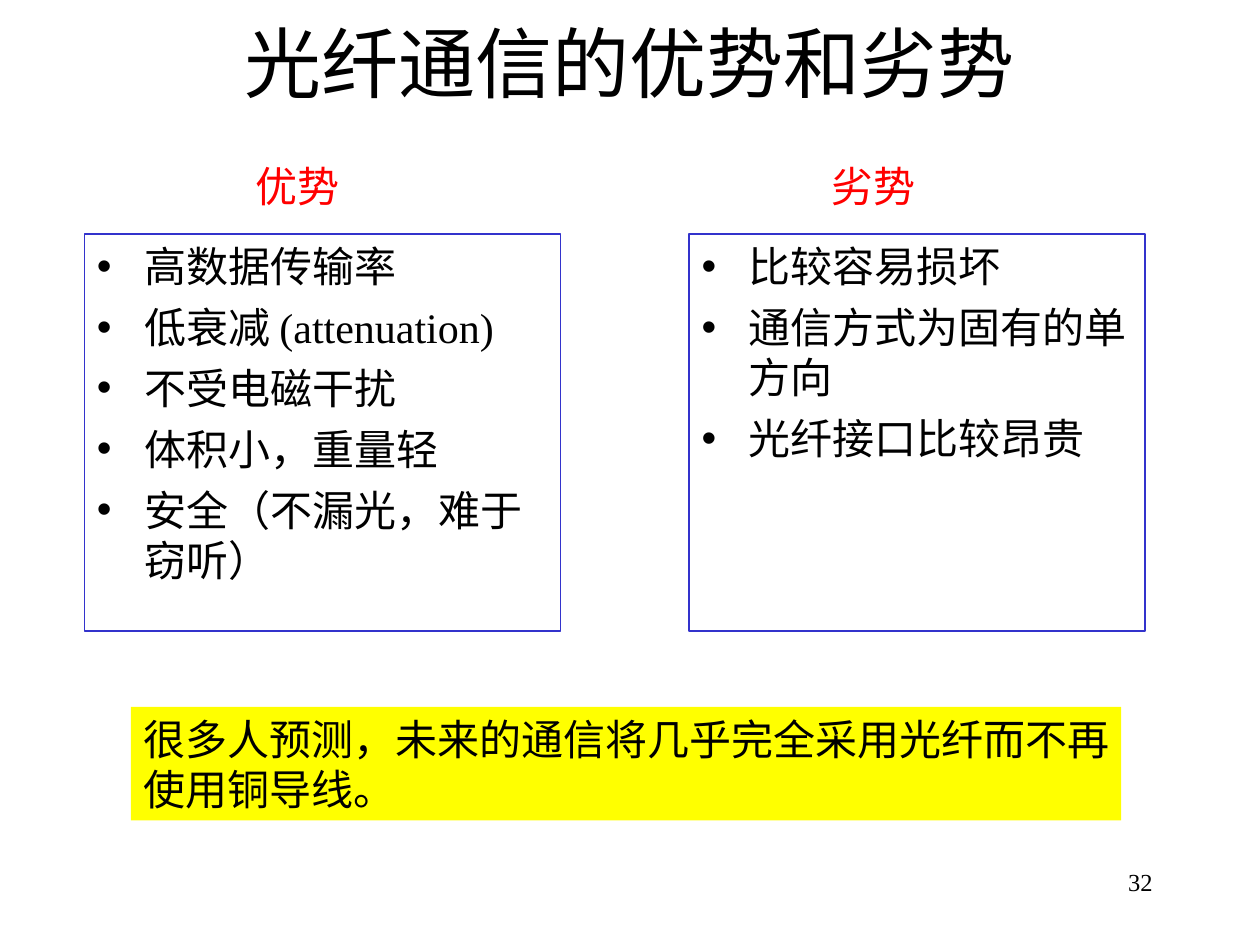
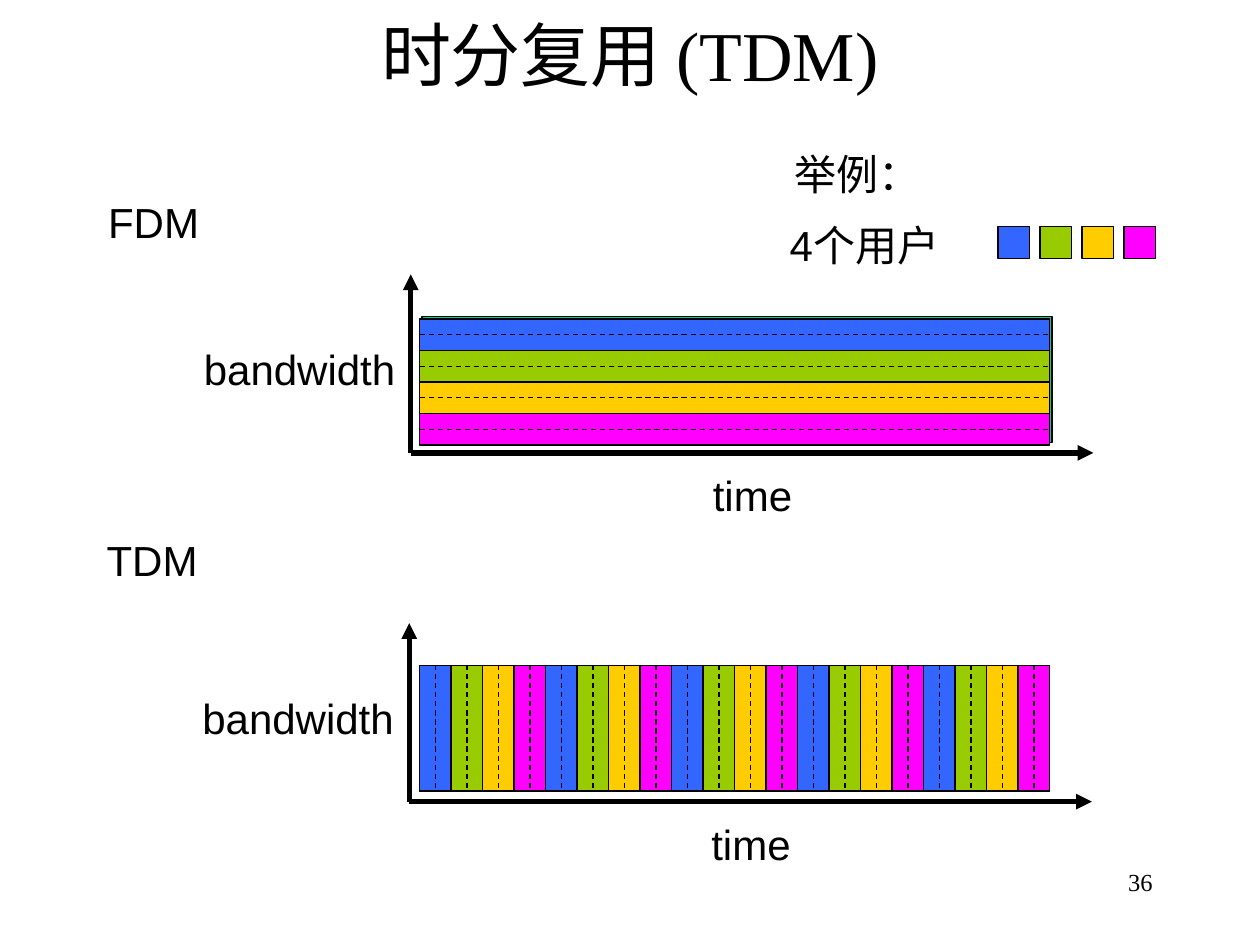
"""Build two lecture slides on optical fibre and on time division multiplexing."""
import dataclasses
import typing

import pptx
import pptx.dml.color
import pptx.enum.dml
import pptx.enum.shapes
import pptx.enum.text
import pptx.oxml
import pptx.oxml.ns
import pptx.util

Cm = pptx.util.Cm
Pt = pptx.util.Pt
ALIGN = pptx.enum.text.PP_ALIGN
ANCHOR = pptx.enum.text.MSO_ANCHOR
FIT = pptx.enum.text.MSO_AUTO_SIZE

SERIF, SANS = "Times New Roman", "Arial"
BLACK, RED, YELLOW, FRAME, TEAL = "000000", "FF0000", "FFFF00", "3333CC", "00CC99"
USERS = ["3366FF", "99CC00", "FFCC00", "FF00FF"]
THIN, THICK = 0.75, 3
PLOT_W, PLOT_H = 12.7, 2.54
SLOT = PLOT_H / len(USERS)


class Box(typing.NamedTuple):
    x: float
    y: float
    w: float
    h: float


@dataclasses.dataclass(frozen=True)
class Style:
    size: float = 24
    font: str = SERIF
    color: str = BLACK
    align: ALIGN = ALIGN.LEFT
    bullet: bool = False


@dataclasses.dataclass(frozen=True)
class Column:
    heading: str
    heading_x: float
    frame: Box
    items: list[str]


@dataclasses.dataclass(frozen=True)
class Plot:
    name: str
    name_y: float
    origin_x: float
    origin_y: float
    back: Box
    bands: Box
    by_time: bool


HEADING = Style(color=RED, align=ALIGN.CENTER)
LIST = Style(bullet=True)
LABEL = Style(font=SANS)
NUMBER = Style(size=14, align=ALIGN.RIGHT)

COLUMNS = [
    Column("优势", 4.9, Box(1.7, 4.72, 9.6, 8),
           ["高数据传输率", "低衰减 (attenuation)", "不受电磁干扰", "体积小，重量轻",
            "安全（不漏光，难于窃听）"]),
    Column("劣势", 16.51, Box(13.89, 4.72, 9.19, 8),
           ["比较容易损坏", "通信方式为固有的单方向", "光纤接口比较昂贵"]),
]
FORECAST = ["很多人预测，未来的通信将几乎完全采用光纤而不再", "使用铜导线。"]
PLOTS = [
    Plot("FDM", 3.84, 8.28, 9.13, Box(8.51, 6.38, PLOT_W, PLOT_H),
         Box(8.46, 6.43, PLOT_W, PLOT_H), False),
    Plot("TDM", 10.65, 8.25, 16.16, Box(8.46, 13.41, PLOT_W, PLOT_H),
         Box(8.46, 13.41, PLOT_W, PLOT_H), True),
]


def rgb(value: str) -> pptx.dml.color.RGBColor:
    return pptx.dml.color.RGBColor.from_string(value)


def place(sp, box: Box) -> None:
    sp.left, sp.top, sp.width, sp.height = (Cm(v) for v in box)


def add_bullet(p) -> None:
    pPr = p._p.get_or_add_pPr()
    pPr.set("marL", str(Cm(0.95)))
    pPr.set("indent", str(-Cm(0.95)))
    clr = pptx.oxml.ns.qn("a:buClr")
    pPr.append(pPr.makeelement(clr))
    srgb = pPr.makeelement(pptx.oxml.ns.qn("a:srgbClr"), {"val": BLACK})
    pPr.find(clr).append(srgb)
    pPr.append(pPr.makeelement(pptx.oxml.ns.qn("a:buChar"), {"char": "•"}))


def write(tf, lines: list[str], style: Style) -> None:
    tf.text = "\n".join(lines)
    for i, p in enumerate(tf.paragraphs):
        if style.bullet:
            add_bullet(p)
        p.alignment = style.align
        p.space_before = Pt(6 if style.bullet and i else 0)
        for r in p.runs:
            r.font.size = Pt(style.size)
            r.font.name = style.font
            r.font.color.rgb = rgb(style.color)


def add_text(s, box: Box, lines: list[str], style: Style):
    sp = s.shapes.add_textbox(*(Cm(v) for v in box))
    tf = sp.text_frame
    tf.word_wrap = True
    tf.auto_size = FIT.NONE
    if style.align == ALIGN.LEFT:
        tf.margin_right = 0
    elif style.align == ALIGN.CENTER:
        tf.margin_left = tf.margin_right = 0
    write(tf, lines, style)
    return sp


def add_rect(s, box: Box, fill: str) -> None:
    sp = s.shapes.add_shape(pptx.enum.shapes.MSO_SHAPE.RECTANGLE, *(Cm(v) for v in box))
    sp.shadow.inherit = False
    sp.fill.solid()
    sp.fill.fore_color.rgb = rgb(fill)
    sp.line.color.rgb = rgb(BLACK)
    sp.line.width = Pt(THIN)


def add_line(s, x1: float, y1: float, x2: float, y2: float,
             width: float = THIN, dash: bool = False, arrow: bool = False) -> None:
    kind = pptx.enum.shapes.MSO_CONNECTOR.STRAIGHT
    sp = s.shapes.add_connector(kind, Cm(x1), Cm(y1), Cm(x2), Cm(y2))
    sp.line.color.rgb = rgb(BLACK)
    sp.line.width = Pt(width)
    if dash:
        sp.line.dash_style = pptx.enum.dml.MSO_LINE.DASH
    spPr = sp._element.spPr
    if arrow:
        ln = sp.line._get_or_add_ln()
        ln.append(ln.makeelement(pptx.oxml.ns.qn("a:tailEnd"), {"type": "triangle"}))
    spPr.append(spPr.makeelement(pptx.oxml.ns.qn("a:effectLst")))


def add_slide(prs, layout: int, title: str, size: float, top: float, height: float, number: int):
    s = prs.slides.add_slide(prs.slide_layouts[layout])
    sp = s.shapes.title
    place(sp, Box(1.9, top, 21.59, height))
    tf = sp.text_frame
    tf.auto_size = FIT.NONE
    tf.vertical_anchor = ANCHOR.MIDDLE
    write(tf, [title], Style(size=size, align=ALIGN.CENTER))
    add_text(s, Box(18.21, 17.35, 5.28, 1.27), [str(number)], NUMBER)
    return s


def add_column(s, sp, column: Column) -> None:
    place(sp, column.frame)
    sp.line.color.rgb = rgb(FRAME)
    sp.line.width = Pt(THIN)
    sp.text_frame.auto_size = FIT.NONE
    sp.text_frame.vertical_anchor = ANCHOR.TOP
    write(sp.text_frame, column.items, LIST)
    add_text(s, Box(column.heading_x, 3.12, 2.18, 1.27), [column.heading], HEADING)


def add_bands(s, area: Box, by_time: bool) -> None:
    count = round((area.w if by_time else area.h) / SLOT)

    def cut(slots: float, dash: bool) -> None:
        if by_time:
            x = area.x + slots * SLOT
            add_line(s, x, area.y, x, area.y + area.h, dash=dash)
        else:
            y = area.y + slots * SLOT
            add_line(s, area.x, y, area.x + area.w, y, dash=dash)

    for i in range(count):
        step = i * SLOT
        box = (Box(area.x + step, area.y, SLOT, area.h) if by_time
               else Box(area.x, area.y + step, area.w, SLOT))
        add_rect(s, box, USERS[i % len(USERS)])
    for i in range(1, count):
        cut(i, False)
    for i in range(count):
        cut(i + 0.5, True)


def add_plot(s, plot: Plot) -> None:
    x, y = plot.origin_x, plot.origin_y
    add_text(s, Box(x - 6.35, plot.name_y, 2.34, 1.27), [plot.name], LABEL)
    add_text(s, Box(x - 4.42, y - 2.32, 4.37, 1.27), ["bandwidth"], LABEL)
    add_text(s, Box(x + 5.84, y + 0.22, 2.11, 1.27), ["time"], LABEL)
    add_line(s, x, y, x, y - 3.6, THICK, arrow=True)
    add_line(s, x, y, x + 13.76, y, THICK, arrow=True)
    add_rect(s, plot.back, TEAL)
    add_bands(s, plot.bands, plot.by_time)


def build_fibre(prs) -> None:
    s = add_slide(prs, 3, "光纤通信的优势和劣势", 44, 0.13, 2.21, 32)
    for idx, column in enumerate(COLUMNS, 1):
        add_column(s, s.placeholders[idx], column)
    sp = add_text(s, Box(2.64, 14.25, 19.96, 2.29), FORECAST, Style())
    sp.fill.solid()
    sp.fill.fore_color.rgb = rgb(YELLOW)


def build_tdm(prs) -> None:
    s = add_slide(prs, 5, "时分复用 (TDM)", 40, 0.2, 1.75, 36)
    for plot in PLOTS:
        add_plot(s, plot)
    add_text(s, Box(15.77, 2.87, 3.05, 1.27), ["举例："], LABEL)
    add_text(s, Box(15.67, 4.31, 4.2, 1.27), ["4个用户"], LABEL)
    for i, color in enumerate(USERS):
        add_rect(s, Box(20.12 + i * SLOT * 4 / 3, 4.57, SLOT, SLOT), color)


def main() -> None:
    prs = pptx.Presentation()
    prs.slide_width, prs.slide_height = Cm(25.4), Cm(19.05)
    build_fibre(prs)
    build_tdm(prs)
    prs.save("out.pptx")


if __name__ == "__main__":
    main()
